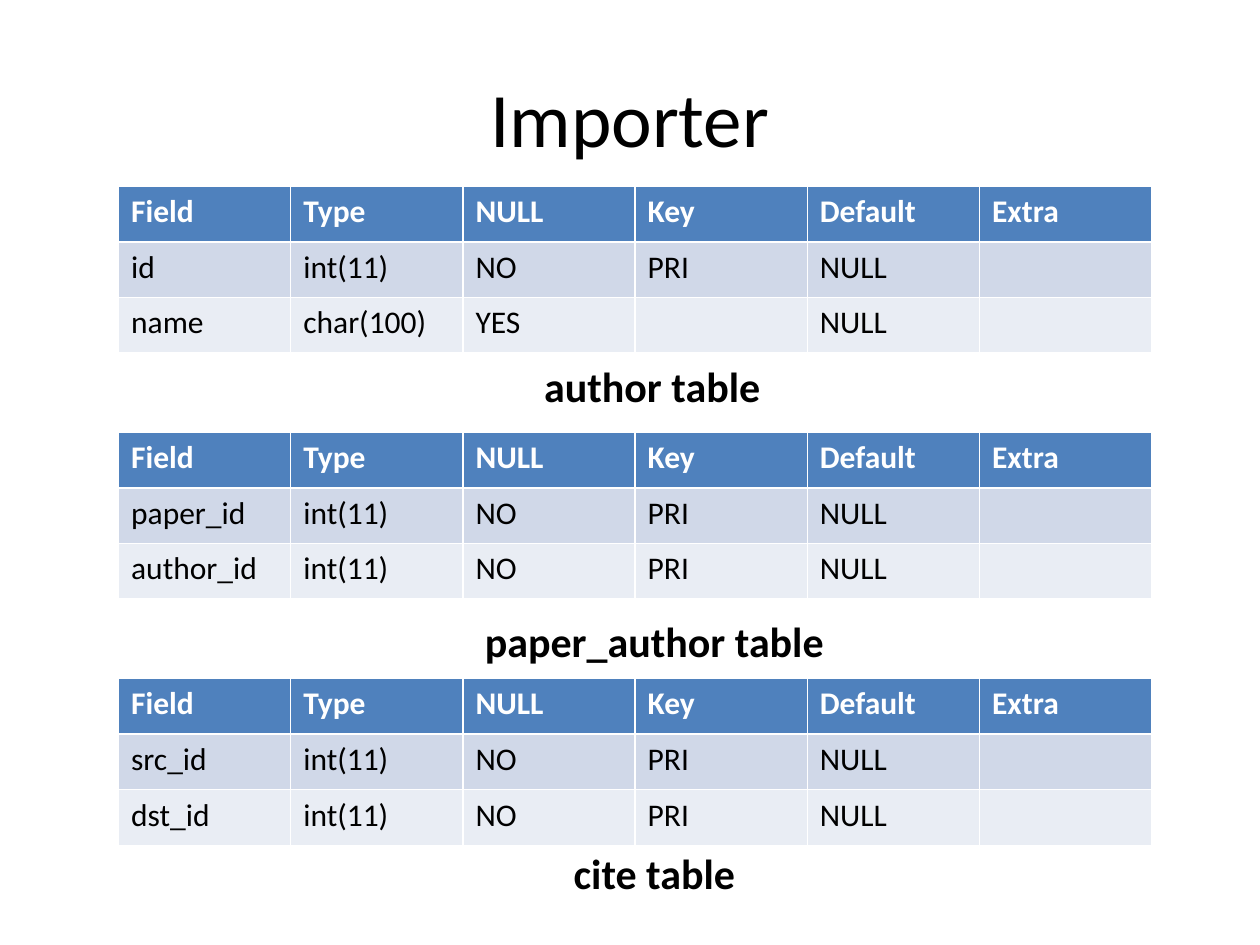
from pptx import Presentation
from pptx.dml.color import RGBColor
from pptx.enum.text import MSO_ANCHOR, MSO_AUTO_SIZE, PP_ALIGN
from pptx.util import Cm, Pt

CENTER = PP_ALIGN.CENTER
MIDDLE = MSO_ANCHOR.MIDDLE
GROW = MSO_AUTO_SIZE.SHAPE_TO_FIT_TEXT

TITLE_ONLY = 5
FONT = "Calibri"
BLACK, WHITE = "000000", "FFFFFF"
ROW_FILLS = ["4F81BD", "D0D8E8", "E9EDF4"]
HEADER = ["Field", "Type", "NULL", "Key", "Default", "Extra"]

TABLE_LEFT, TABLE_TOP, TABLE_WIDTH = 2.39, 3.76, 20.83
ROW_HEIGHT, TABLE_PITCH = 1.12, 4.96
CAPTION_CENTER, CAPTION_HEIGHT = 13.22, 1.27

SCHEMAS = [
    ("author table", 5.0, 3.38,
     [["id", "int(11)", "NO", "PRI", "NULL", ""],
      ["name", "char(100)", "YES", "", "NULL", ""]]),
    ("paper_author table", 7.39, 3.57,
     [["paper_id", "int(11)", "NO", "PRI", "NULL", ""],
      ["author_id", "int(11)", "NO", "PRI", "NULL", ""]]),
    ("cite table", 3.81, 3.29,
     [["src_id", "int(11)", "NO", "PRI", "NULL", ""],
      ["dst_id", "int(11)", "NO", "PRI", "NULL", ""]]),
]


def color(value):
    """Turn a hex string into a colour."""
    return RGBColor.from_string(value)


def add_text(paragraph, text, size, font_color=BLACK, bold=False):
    """Add one formatted run to a paragraph."""
    run = paragraph.add_run()
    run.text = text
    run.font.name = FONT
    run.font.size = Pt(size)
    run.font.bold = bold
    run.font.color.rgb = color(font_color)


def add_title(slide, text, left, top, width, height):
    """Place and fill the title placeholder."""
    title = slide.shapes.title
    title.left, title.top = Cm(left), Cm(top)
    title.width, title.height = Cm(width), Cm(height)
    title.text_frame.vertical_anchor = MIDDLE
    paragraph = title.text_frame.paragraphs[0]
    paragraph.alignment = CENTER
    add_text(paragraph, text, 44)


def add_schema_table(slide, rows, left, top, width):
    """Draw a header and the field rows of one database table."""
    cells = [HEADER] + rows
    table = slide.shapes.add_table(
        len(cells), len(HEADER), Cm(left), Cm(top),
        Cm(width), Cm(ROW_HEIGHT * len(cells))).table
    for row_index, texts in enumerate(cells):
        is_header = row_index == 0
        for column_index, text in enumerate(texts):
            cell = table.cell(row_index, column_index)
            cell.fill.solid()
            cell.fill.fore_color.rgb = color(ROW_FILLS[row_index])
            if text:
                add_text(cell.text_frame.paragraphs[0], text, 18,
                         WHITE if is_header else BLACK, is_header)


def add_caption(slide, text, center, top, width):
    """Write a bold caption around a horizontal centre."""
    caption = slide.shapes.add_textbox(
        Cm(center - width / 2), Cm(top), Cm(width), Cm(CAPTION_HEIGHT))
    caption.text_frame.word_wrap = False
    caption.text_frame.auto_size = GROW
    add_text(caption.text_frame.paragraphs[0], text, 24, bold=True)


def build_importer_slide(presentation):
    """Build the slide with the title and the captioned tables."""
    slide = presentation.slides.add_slide(presentation.slide_layouts[TITLE_ONLY])
    add_title(slide, "Importer", 1.27, 0.76, 22.86, 3.18)
    for index, (name, caption_width, caption_offset, rows) in enumerate(SCHEMAS):
        top = TABLE_TOP + index * TABLE_PITCH
        add_schema_table(slide, rows, TABLE_LEFT, top, TABLE_WIDTH)
        add_caption(slide, name, CAPTION_CENTER, top + caption_offset, caption_width)


def main():
    """Create and save the presentation."""
    presentation = Presentation()
    presentation.slide_width, presentation.slide_height = Cm(25.4), Cm(19.05)
    build_importer_slide(presentation)
    presentation.save("out.pptx")


main()
